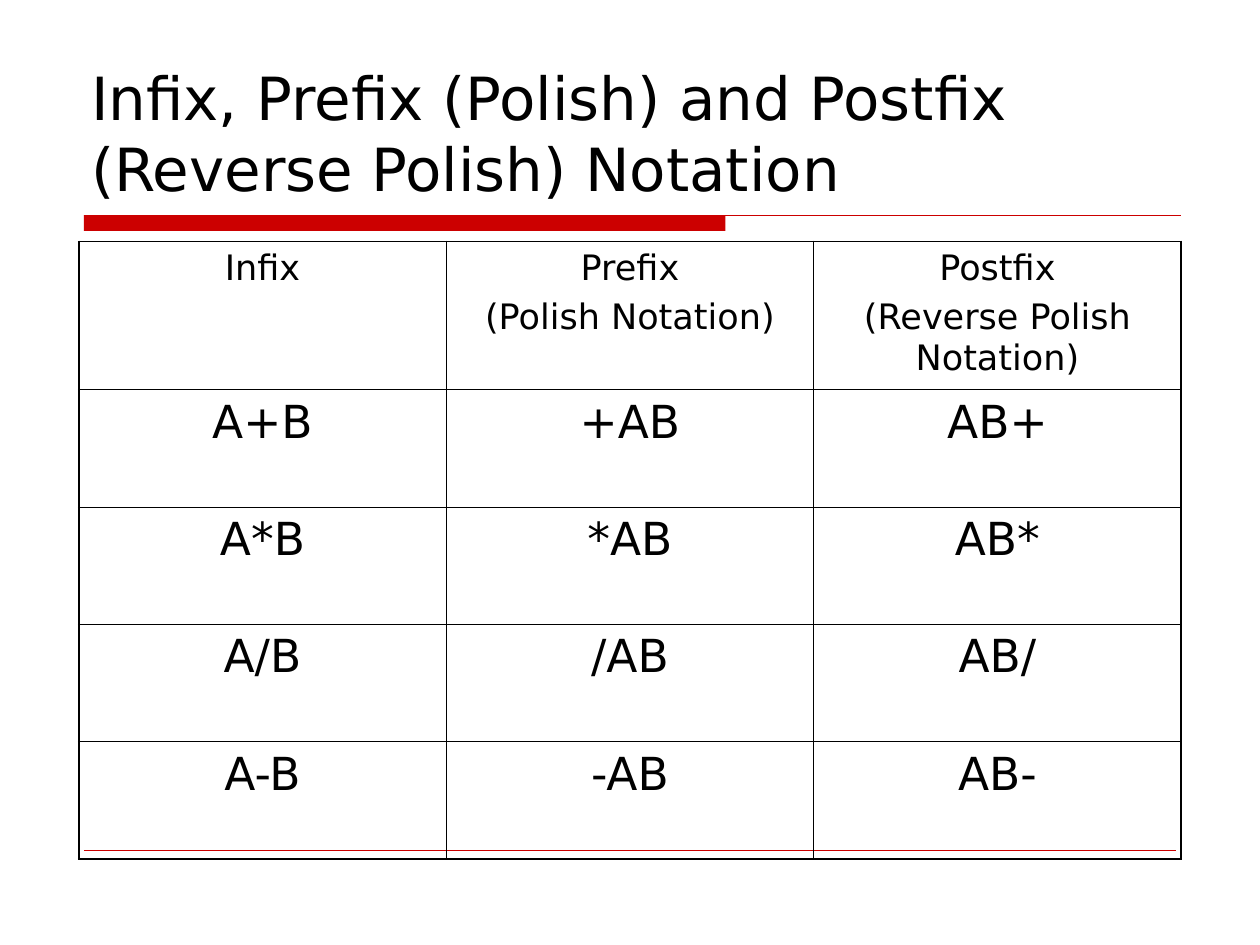
"""Build a slide comparing infix, prefix and postfix notation."""
from pptx import Presentation
from pptx.dml.color import RGBColor
from pptx.enum.shapes import MSO_CONNECTOR as Connector, MSO_SHAPE as Shape
from pptx.enum.text import MSO_ANCHOR as Anchor, PP_ALIGN as Align
from pptx.oxml import parse_xml
from pptx.oxml.ns import nsdecls
from pptx.util import Pt

RED = RGBColor(0xCC, 0x00, 0x00)
BLACK = RGBColor(0x00, 0x00, 0x00)
FONT = "DejaVu Sans"
OUTER, INNER = 1.08, 0.45
ROWS = [
    ["Infix", "Prefix\n(Polish Notation)", "Postfix\n(Reverse Polish Notation)"],
    ["A+B", "+AB", "AB+"],
    ["A*B", "*AB", "AB*"],
    ["A/B", "/AB", "AB/"],
    ["A-B", "-AB", "AB-"],
]


def style_text(para, size):
    for span in para.runs:
        span.font.name = FONT
        span.font.size = Pt(size)
        span.font.color.rgb = BLACK


def add_border(cell, side, width):
    cell._tc.get_or_add_tcPr().append(parse_xml(
        f'<a:ln{side} {nsdecls("a")} w="{Pt(width)}"><a:solidFill>'
        f'<a:srgbClr val="{BLACK}"/></a:solidFill></a:ln{side}>'))


deck = Presentation()
deck.slide_width, deck.slide_height = Pt(720), Pt(540)
page = deck.slides.add_slide(deck.slide_layouts[6])

bar = page.shapes.add_shape(Shape.RECTANGLE, Pt(48), Pt(123), Pt(366.5), Pt(9))
bar.shadow.inherit = False
bar.fill.solid()
bar.fill.fore_color.rgb = RED
bar.line.fill.background()

for right, y, width in [(674.75, 123.25, 0.75), (672, 486, 0.25)]:
    rule = page.shapes.add_connector(Connector.STRAIGHT, Pt(48), Pt(y), Pt(right), Pt(y))
    rule.line.color.rgb = RED
    rule.line.width = Pt(width)
    rule._element.spPr.append(parse_xml(f'<a:effectLst {nsdecls("a")}/>'))

title = page.shapes.add_textbox(Pt(45), Pt(24), Pt(630), Pt(96))
title.text_frame.word_wrap = True
title.text_frame.vertical_anchor = Anchor.BOTTOM
title.text_frame.text = "Infix, Prefix (Polish) and Postfix (Reverse Polish) Notation"
style_text(title.text_frame.paragraphs[0], 34)

table = page.shapes.add_table(len(ROWS), 3, Pt(45), Pt(138), Pt(630), Pt(353)).table
for column in table.columns:
    column.width = Pt(210)
for r, texts in enumerate(ROWS):
    table.rows[r].height = Pt(67.1 if r else 84.6)
    for c, text in enumerate(texts):
        cell = table.cell(r, c)
        cell.text_frame.text = text
        for p, para in enumerate(cell.text_frame.paragraphs):
            para.alignment = Align.CENTER
            if p:
                para.space_before = Pt(5)
            style_text(para, 26 if r else 20)
        edges = {"L": c == 0, "R": c == 2, "T": r == 0, "B": r == len(ROWS) - 1}
        for side, is_outer in edges.items():
            add_border(cell, side, OUTER if is_outer else INNER)
        cell.fill.background()

deck.save("out.pptx")
